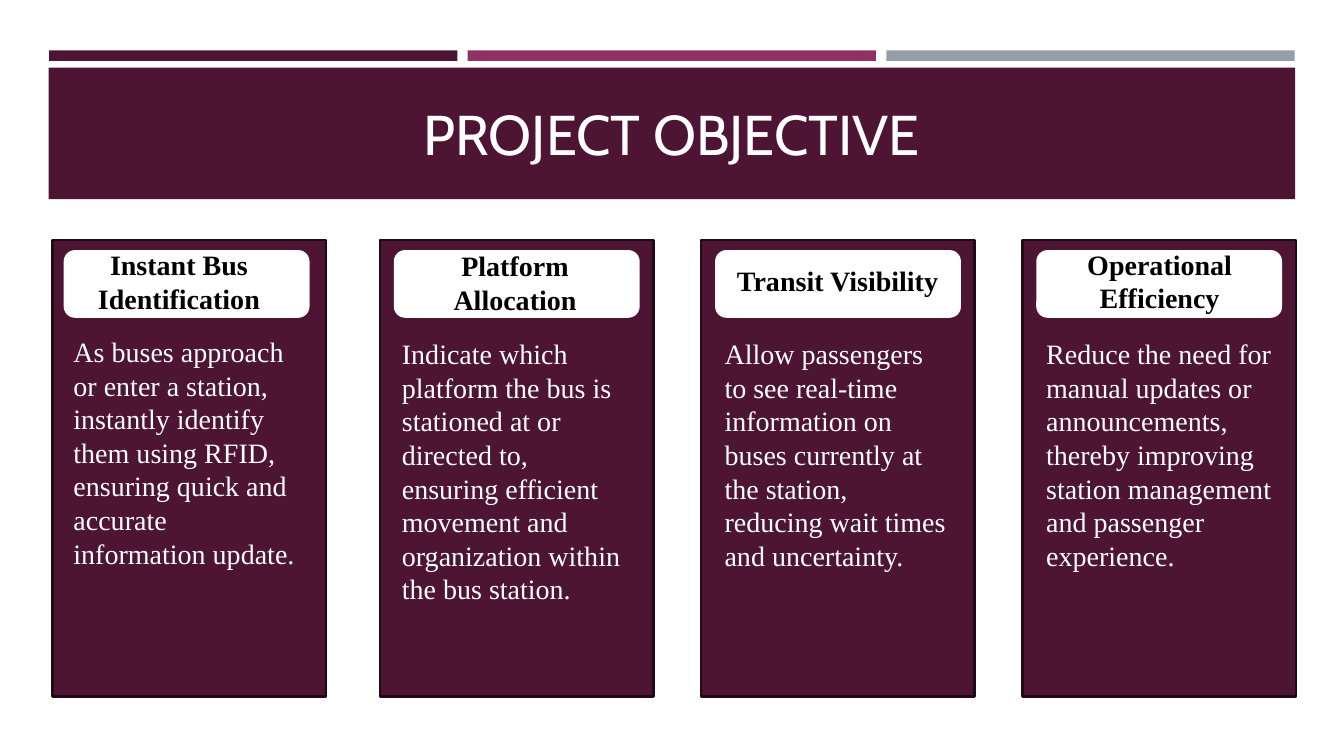
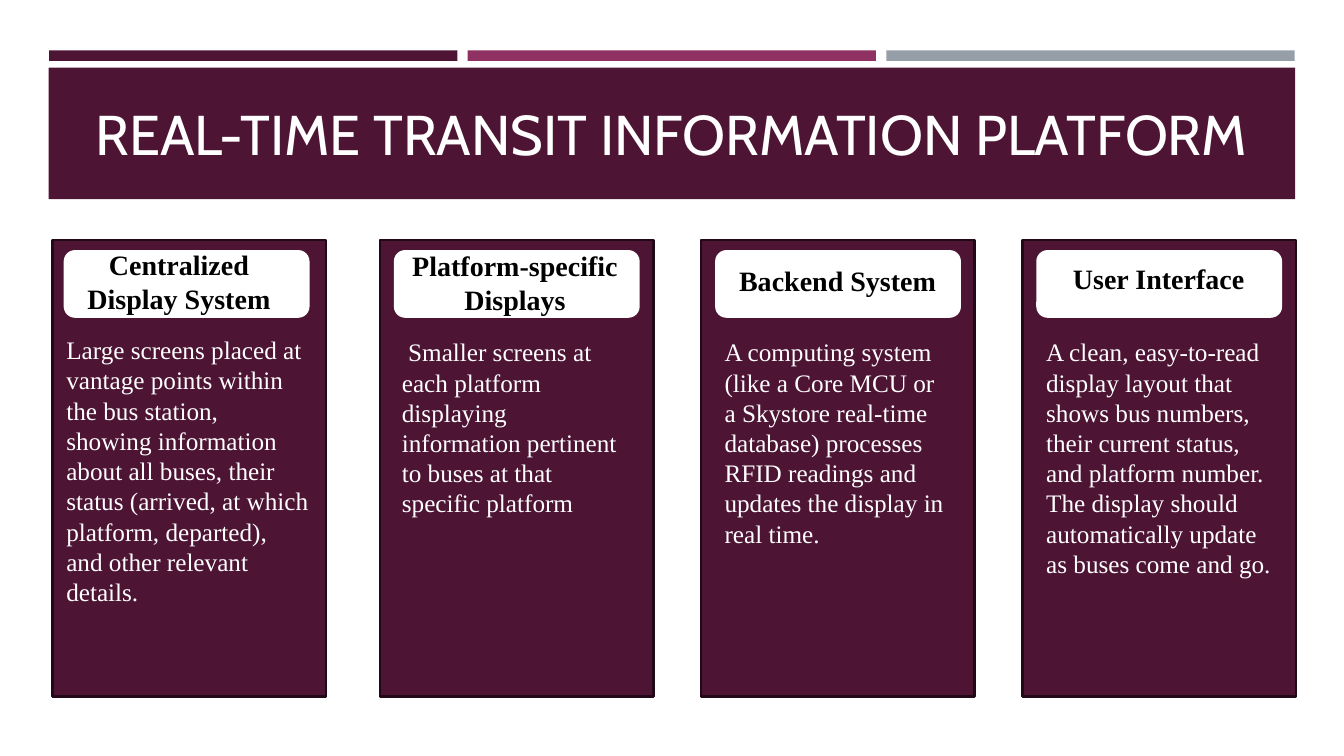
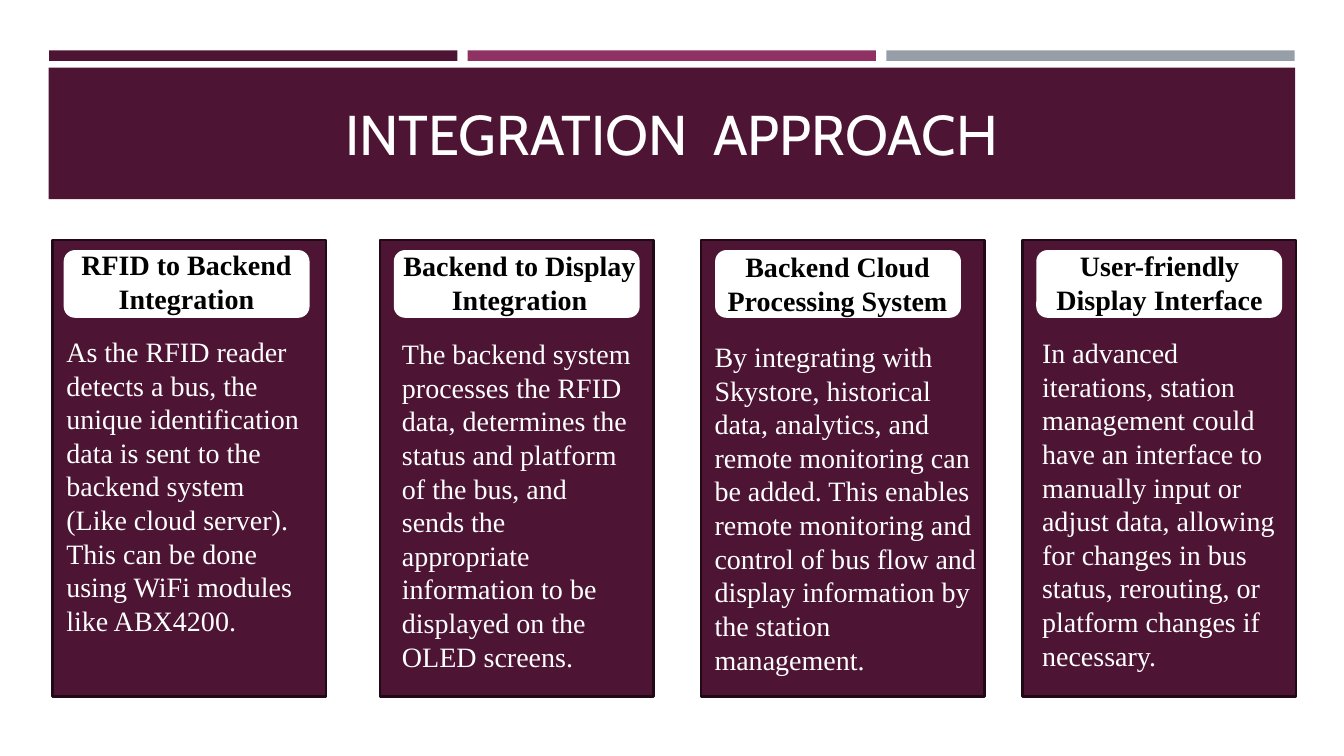
from dataclasses import dataclass
from typing import NamedTuple, Optional

from pptx import Presentation
from pptx.dml.color import RGBColor
from pptx.enum.shapes import MSO_SHAPE
from pptx.enum.text import MSO_ANCHOR, MSO_AUTO_SIZE, PP_ALIGN
from pptx.util import Pt

PLUM = RGBColor(0x4D, 0x14, 0x34)
DARK_PLUM = RGBColor(0x22, 0x09, 0x17)
MAGENTA = RGBColor(0x90, 0x31, 0x63)
GREY = RGBColor(0x96, 0x9F, 0xA7)
WHITE = RGBColor(0xFF, 0xFF, 0xFF)
BLACK = RGBColor(0x00, 0x00, 0x00)

TITLE_FONT = "Cabin"
TEXT_FONT = "Times New Roman"
HEADING_SIZE = 20
LINE_FACTOR = 1.2
TEXT_INSETS = 7.2

STRIP_LEFT, STRIP_TOP, STRIP_WIDTH, STRIP_HEIGHT = 35.1, 36, 291.6, 7.5
STRIP_STEP = 299
PANEL_TOP, PANEL_WIDTH, PANEL_HEIGHT = 171.4, 195.4, 326
PILL_TOP, PILL_WIDTH, PILL_HEIGHT = 178.6, 175.6, 48.4


class Place(NamedTuple):
    left: float
    top: float
    width: float


@dataclass(frozen=True)
class Column:
    panel_left: float
    pill_left: float
    heading: Place
    body: Place


@dataclass(frozen=True)
class Card:
    heading: str
    heading_lines: int
    body: str
    body_lines: int
    heading_place: Optional[Place] = None
    body_place: Optional[Place] = None
    panel_width: float = PANEL_WIDTH


@dataclass(frozen=True)
class CardPage:
    title: str
    body_size: int
    cards: tuple[Card, ...]


COLUMNS = (
    Column(37.4, 45.5, Place(52.6, 173.5, 150.5), Place(45.4, 235.4, 175.7)),
    Column(271.3, 281.3, Place(287.3, 174.2, 161.3), Place(280, 236.9, 175.7)),
    Column(500.8, 510.8, Place(517.7, 185, 161.3), Place(510.5, 236.9, 175.7)),
    Column(730.2, 740.2, Place(748.8, 173, 159.1), Place(740.2, 236.9, 175.7)),
)

WIDE_FIRST_BODY = Place(40.3, 235.4, 187.2)

PAGES = (
    CardPage("PROJECT OBJECTIVE", 20, (
        Card("Instant Bus Identification", 2,
             "As buses approach or enter a station, instantly identify them using RFID, "
             "ensuring quick and accurate information update.", 7),
        Card("Platform Allocation", 2,
             "Indicate which platform the bus is stationed at or directed to, ensuring "
             "efficient movement and organization within the bus station.", 8),
        Card("Transit Visibility", 1,
             "Allow passengers to see real-time information on buses currently at the "
             "station, reducing wait times and uncertainty.", 7),
        Card("Operational Efficiency", 2,
             "Reduce the need for manual updates or announcements, thereby improving "
             "station management and passenger experience.", 7),
    )),
    CardPage("REAL-TIME TRANSIT INFORMATION PLATFORM", 18, (
        Card("Centralized Display System", 2,
             "Large screens placed at vantage points within the bus station, showing "
             "information about all buses, their status (arrived, at which platform, "
             "departed), and other relevant details.", 9,
             body_place=WIDE_FIRST_BODY),
        Card("Platform-specific Displays", 2,
             " Smaller screens at each platform displaying information pertinent to "
             "buses at that specific platform", 6),
        Card("Backend System", 1,
             "A computing system (like a Core MCU or a Skystore real-time database) "
             "processes RFID readings and updates the display in real time.", 7),
        Card("User Interface", 1,
             "A clean, easy-to-read display layout that shows bus numbers, their current "
             "status, and platform number. The display should automatically update as "
             "buses come and go.", 8,
             heading_place=Place(748.1, 182.9, 159.1)),
    )),
    CardPage("INTEGRATION  APPROACH", 20, (
        Card("RFID to Backend Integration", 2,
             "As the RFID reader detects a bus, the unique identification data is sent to "
             "the backend system (Like cloud server). This can be done using WiFi modules "
             "like ABX4200.", 9,
             heading_place=Place(46.1, 173.5, 174.2), body_place=WIDE_FIRST_BODY),
        Card("Backend to Display Integration", 2,
             "The backend system processes the RFID data, determines the status and "
             "platform of the bus, and sends the appropriate information to be displayed "
             "on the OLED screens.", 10,
             heading_place=Place(277.9, 174.2, 186.5),
             body_place=Place(280, 236.9, 179.3)),
        Card("Backend Cloud Processing System", 2,
             "By integrating with Skystore, historical data, analytics, and remote "
             "monitoring can be added. This enables remote monitoring and control of bus "
             "flow and display information by the station management.", 10,
             heading_place=Place(510.5, 175, 175.7),
             body_place=Place(503.3, 239, 202.3), panel_width=202.6),
        Card("User-friendly Display Interface", 2,
             "In advanced iterations, station management could have an interface to "
             "manually input or adjust data, allowing for changes in bus status, "
             "rerouting, or platform changes if necessary.", 10,
             heading_place=Place(745.2, 174.2, 166.3),
             body_place=Place(737.3, 236.2, 182.9)),
    )),
)


def add_block(page, kind: MSO_SHAPE, left: float, top: float, width: float,
              height: float, fill: RGBColor, outline: Optional[RGBColor] = None) -> None:
    block = page.shapes.add_shape(kind, Pt(left), Pt(top), Pt(width), Pt(height))
    block.shadow.inherit = False
    block.fill.solid()
    block.fill.fore_color.rgb = fill
    if outline is None:
        block.line.fill.background()
    else:
        block.line.color.rgb = outline
        block.line.width = Pt(1.75)


def add_text(page, text: str, place: Place, height: float, font: str, size: int,
             color: RGBColor, align: PP_ALIGN, bold: bool = False):
    box = page.shapes.add_textbox(Pt(place.left), Pt(place.top), Pt(place.width), Pt(height))
    frame = box.text_frame
    frame.word_wrap = True
    para = frame.paragraphs[0]
    para.text = text
    para.alignment = align
    para.font.name = font
    para.font.size = Pt(size)
    para.font.bold = bold
    para.font.color.rgb = color
    return frame


def add_card_text(page, text: str, place: Place, lines: int, size: int,
                  color: RGBColor, align: PP_ALIGN, bold: bool = False) -> None:
    spacing = size * LINE_FACTOR
    frame = add_text(page, text, place, lines * spacing + TEXT_INSETS, TEXT_FONT, size,
                     color, align, bold)
    frame.auto_size = MSO_AUTO_SIZE.SHAPE_TO_FIT_TEXT
    frame.paragraphs[0].line_spacing = Pt(spacing)


def add_header(page, title: str) -> None:
    for index, color in enumerate((PLUM, MAGENTA, GREY)):
        add_block(page, MSO_SHAPE.RECTANGLE, STRIP_LEFT + index * STRIP_STEP, STRIP_TOP,
                  STRIP_WIDTH, STRIP_HEIGHT, color)
    add_block(page, MSO_SHAPE.RECTANGLE, 34.8, 48.4, 890.4, 93.8, PLUM)
    frame = add_text(page, title, Place(45.6, 55.4, 868.3), 67, TITLE_FONT, 40,
                     WHITE, PP_ALIGN.CENTER)
    frame.vertical_anchor = MSO_ANCHOR.BOTTOM


def add_card(page, column: Column, card: Card, body_size: int) -> None:
    add_block(page, MSO_SHAPE.RECTANGLE, column.panel_left, PANEL_TOP, card.panel_width,
              PANEL_HEIGHT, PLUM, DARK_PLUM)
    add_block(page, MSO_SHAPE.ROUNDED_RECTANGLE, column.pill_left, PILL_TOP, PILL_WIDTH,
              PILL_HEIGHT, WHITE)
    add_card_text(page, card.heading, card.heading_place or column.heading,
                  card.heading_lines, HEADING_SIZE, BLACK, PP_ALIGN.CENTER, bold=True)
    add_card_text(page, card.body, card.body_place or column.body, card.body_lines,
                  body_size, WHITE, PP_ALIGN.LEFT)


def main() -> None:
    deck = Presentation()
    deck.slide_width, deck.slide_height = Pt(960), Pt(540)
    for content in PAGES:
        page = deck.slides.add_slide(deck.slide_layouts[6])
        add_header(page, content.title)
        for column, card in zip(COLUMNS, content.cards):
            add_card(page, column, card, content.body_size)
    deck.save("out.pptx")


if __name__ == "__main__":
    main()
